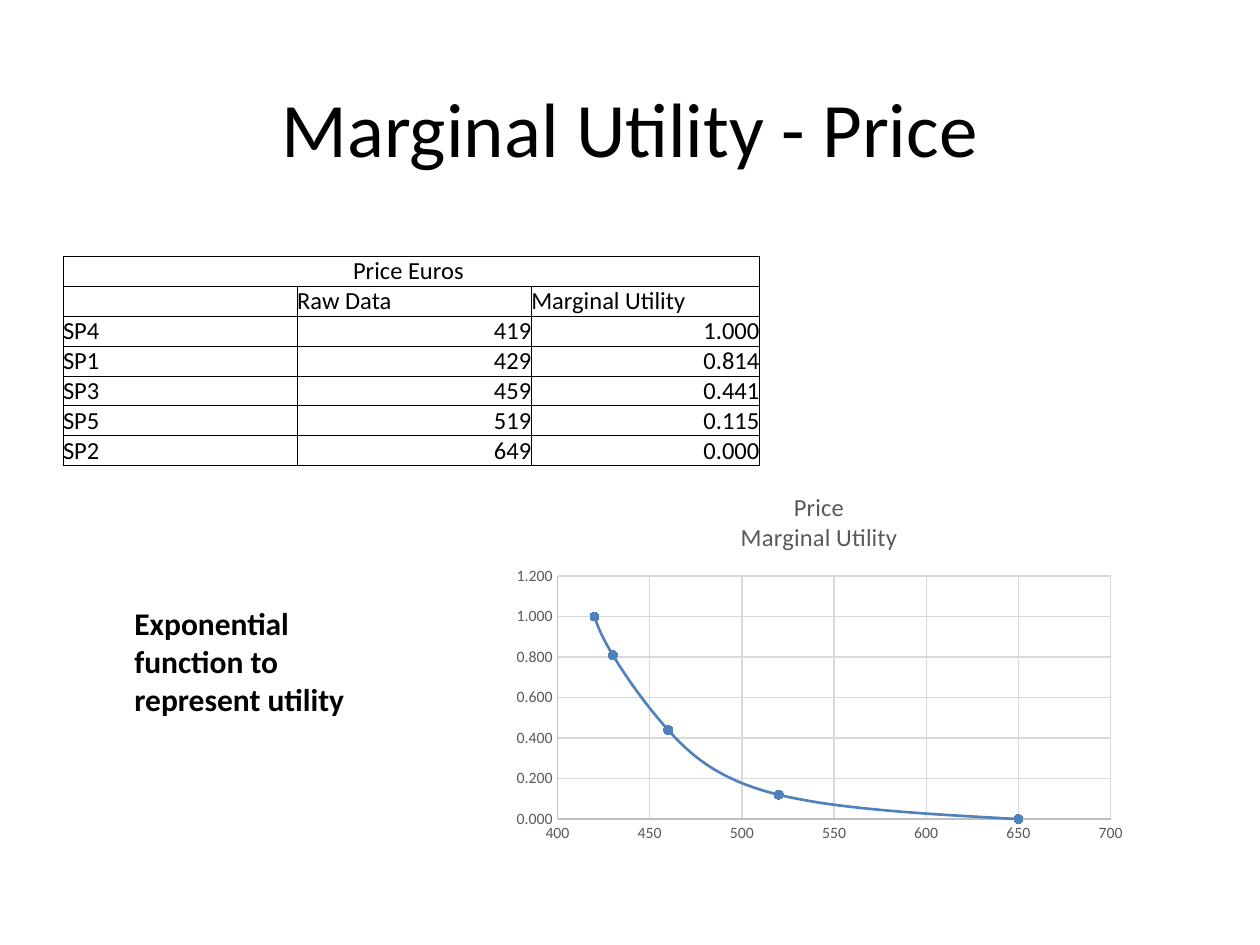
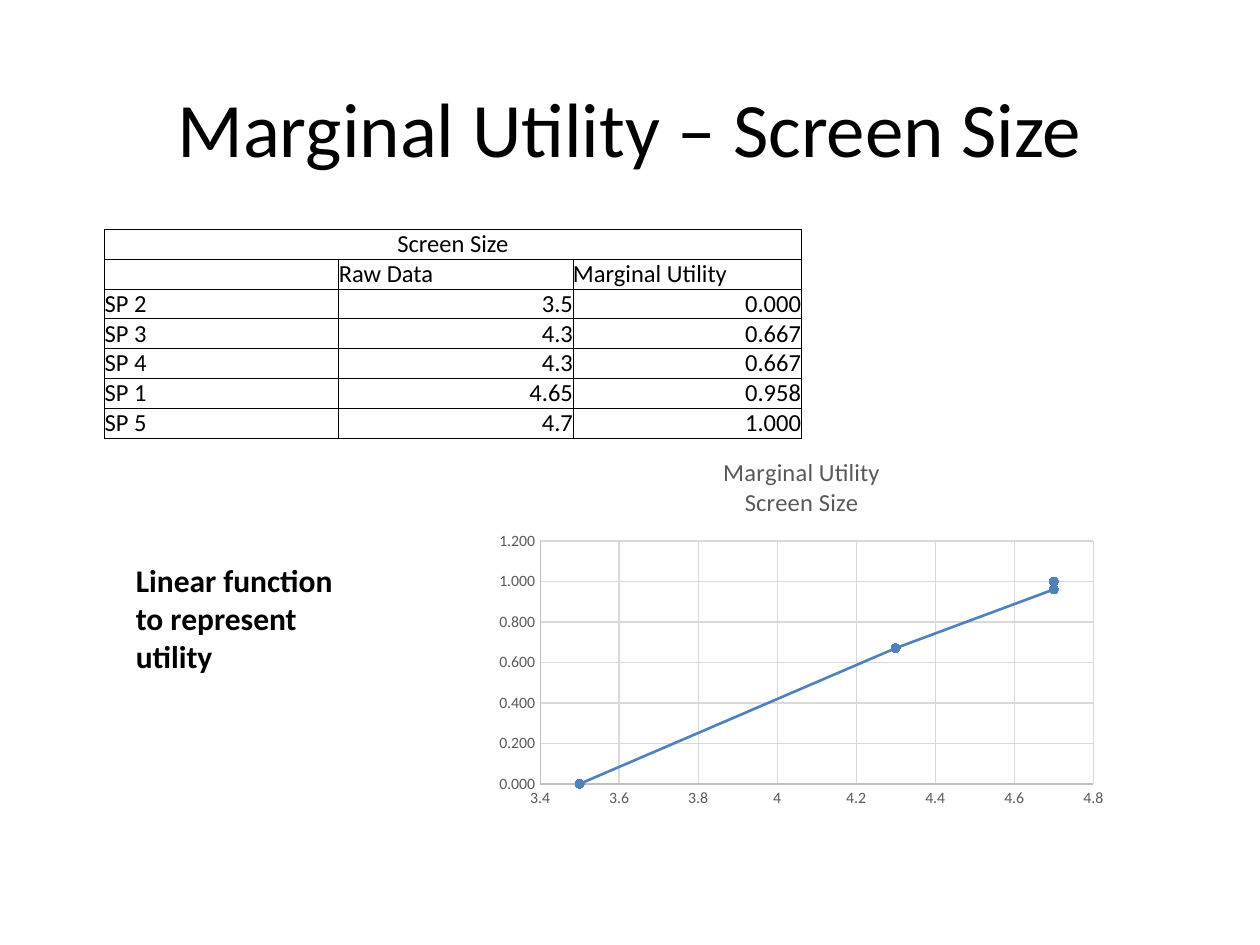
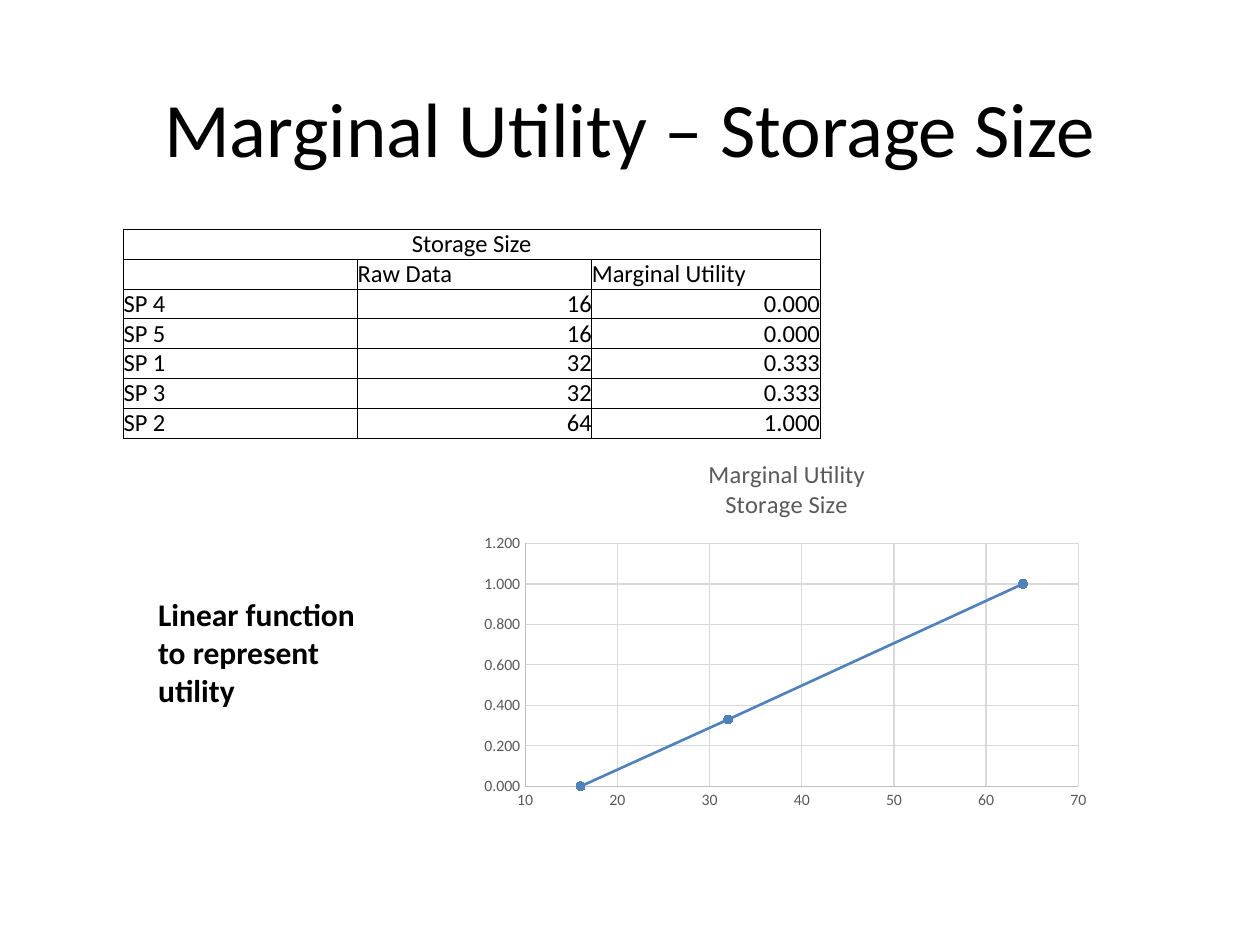
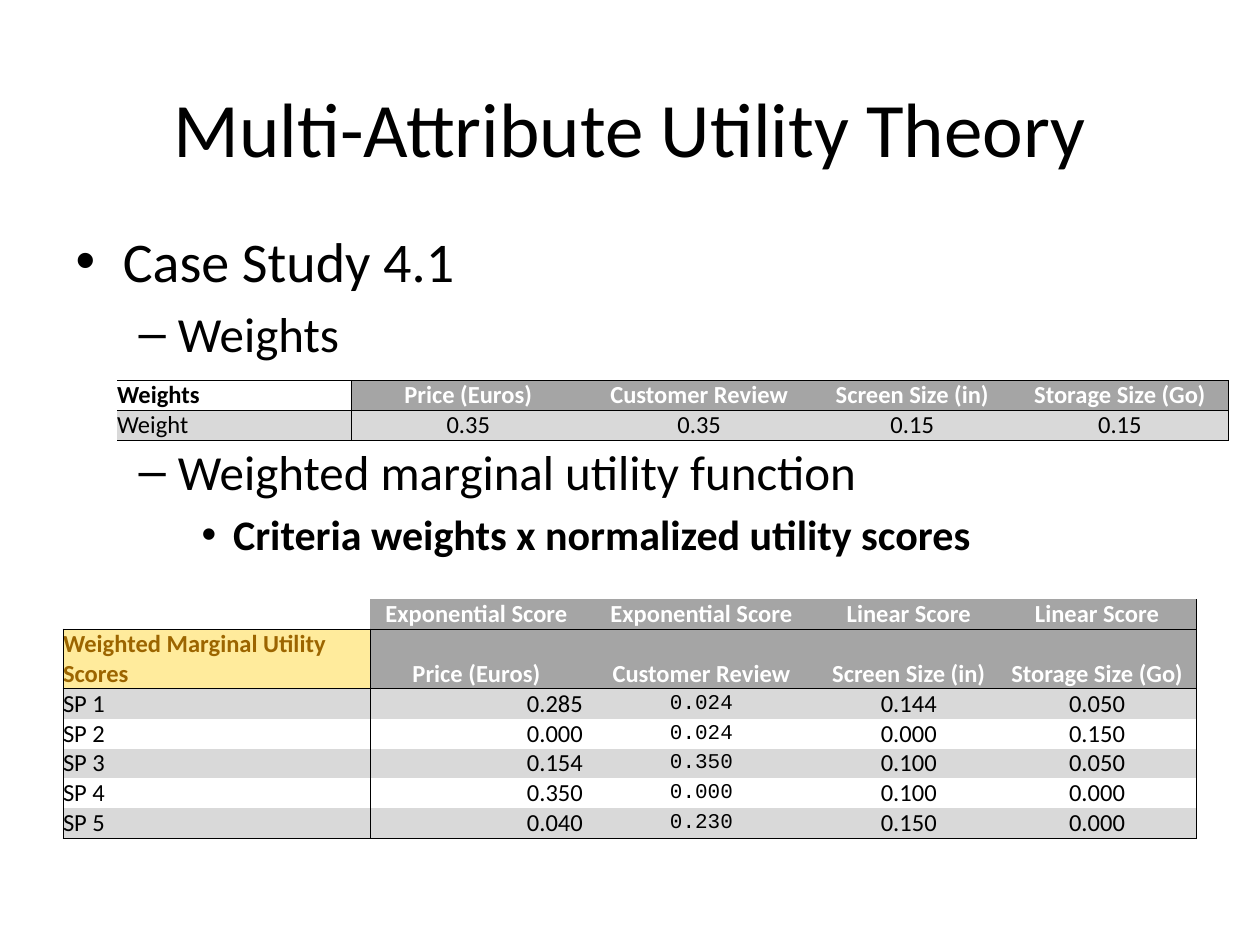
from lxml.etree import SubElement
from pptx import Presentation
from pptx.chart.data import XyChartData
from pptx.dml.color import RGBColor
from pptx.enum.chart import XL_CHART_TYPE, XL_MARKER_STYLE, XL_TICK_MARK
from pptx.enum.text import MSO_ANCHOR, MSO_AUTO_SIZE, PP_ALIGN
from pptx.oxml.ns import qn
from pptx.util import Cm, Pt

COLORS = {
    "text": "000000", "white": "FFFFFF", "header": "A5A5A5", "band": "D9D9D9",
    "highlight": "FFEB9C", "highlight_text": "9C6500", "series": "4F81BD",
    "chart_text": "595959", "axis": "BFBFBF", "grid": "D9D9D9",
}
FONT, MONO = "Calibri", "Courier New"
NO_STYLE = "{2D5ABB26-0587-4C30-8999-92F81FD0307C}"
ROW_HEIGHT = 0.59
PLOT_AREA = {"x": 0.085, "y": 0.275, "w": 0.878, "h": 0.643}
TITLE_ONLY, TITLE_AND_BODY = 5, 1
LEFT, CENTER, RIGHT = PP_ALIGN.LEFT, PP_ALIGN.CENTER, PP_ALIGN.RIGHT


def rgb(name):
    return RGBColor.from_string(COLORS[name])


def two_digits(text):
    return float(f"{float(text):.2g}")


class Deck:
    def __init__(self):
        self.prs = Presentation()
        self.prs.slide_width, self.prs.slide_height = Cm(25.4), Cm(19.05)
        self.slide = None

    def style(self, font, size, color="text", bold=False, name=FONT):
        font.name, font.size, font.bold = name, Pt(size), bold
        font.color.rgb = rgb(color)

    def line(self, line, color, width=0.75):
        line.color.rgb = rgb(color)
        line.width = Pt(width)

    def place(self, shape, left, top, width, height):
        shape.left, shape.top = Cm(left), Cm(top)
        shape.width, shape.height = Cm(width), Cm(height)

    def add_slide(self, heading, layout=TITLE_ONLY):
        self.slide = self.prs.slides.add_slide(self.prs.slide_layouts[layout])
        title = self.slide.shapes.title
        self.place(title, 1.27, 0.97, 22.86, 3.18)
        frame = title.text_frame
        frame.text = heading
        frame.vertical_anchor = MSO_ANCHOR.MIDDLE
        frame.auto_size = MSO_AUTO_SIZE.NONE
        frame.paragraphs[0].alignment = CENTER
        self.style(frame.paragraphs[0].runs[0].font, 44)

    def bullets(self, items):
        """Fill the body with (level, size, bold, space before, text) items."""
        body = self.slide.placeholders[1]
        self.place(body, 1.27, 4.44, 22.86, 12.57)
        frame = body.text_frame
        frame.text = "\n".join(item[-1] for item in items)
        frame.auto_size = MSO_AUTO_SIZE.NONE
        for paragraph, (level, size, bold, gap, _) in zip(frame.paragraphs, items):
            paragraph.level = level
            if gap:
                paragraph.space_before = Pt(gap)
            self.style(paragraph.runs[0].font, size, bold=bold)

    def note(self, left, top, text):
        box = self.slide.shapes.add_textbox(Cm(left), Cm(top), Cm(5.16), Cm(2.57))
        frame = box.text_frame
        frame.word_wrap = True
        frame.text = text
        self.style(frame.paragraphs[0].runs[0].font, 18, bold=True)

    def cell(self, cell, text, align=LEFT, edges="LRTB", fill=None, size=14,
             anchor=MSO_ANCHOR.BOTTOM, **look):
        cell.margin_left = cell.margin_right = cell.margin_top = cell.margin_bottom = 0
        cell.vertical_anchor = anchor
        cell.text = text
        paragraph = cell.text_frame.paragraphs[0]
        paragraph.alignment = align
        for run in paragraph.runs:
            self.style(run.font, size, **look)
        if not text:
            SubElement(paragraph._p, qn("a:endParaRPr"), sz=str(size * 100))
        # Borders come before the fill in the cell properties
        properties = cell._tc.get_or_add_tcPr()
        for side in "LRTB":
            border = SubElement(properties, qn("a:ln" + side), w=str(Pt(0.5)))
            if side in edges:
                solid = SubElement(border, qn("a:solidFill"))
                SubElement(solid, qn("a:srgbClr"), val=COLORS["text"])
            else:
                SubElement(border, qn("a:noFill"))
        if fill:
            cell.fill.solid()
            cell.fill.fore_color.rgb = rgb(fill)
        else:
            cell.fill.background()

    def table(self, left, top, widths, rows, look):
        """Add a table; look(row, column) gives the format of each cell."""
        frame = self.slide.shapes.add_table(
            len(rows), len(widths), Cm(left), Cm(top),
            Cm(sum(widths)), Cm(ROW_HEIGHT * len(rows)))
        table = frame.table
        table.first_row = table.horz_banding = False
        table._tbl.tblPr.find(qn("a:tableStyleId")).text = NO_STYLE
        for column, width in zip(table.columns, widths):
            column.width = Cm(width)
        for r, texts in enumerate(rows):
            table.rows[r].height = Cm(ROW_HEIGHT)
            for c, text in enumerate(texts):
                self.cell(table.cell(r, c), text, **look(r, c))
        return table

    def axis(self, axis, scale, number_format):
        axis.minimum_scale, axis.maximum_scale, axis.major_unit = scale
        axis.major_tick_mark = axis.minor_tick_mark = XL_TICK_MARK.NONE
        axis.has_major_gridlines = True
        self.line(axis.major_gridlines.format.line, "grid")
        self.line(axis.format.line, "axis")
        axis.tick_labels.number_format = number_format
        axis.tick_labels.number_format_is_linked = False
        self.style(axis.tick_labels.font, 9, "chart_text")

    def scatter(self, left, top, heading, points, x_scale, smooth):
        data = XyChartData()
        utility = data.add_series("Series 1")
        for x, y in points:
            utility.add_data_point(x, y)
        kind = XL_CHART_TYPE.XY_SCATTER_SMOOTH if smooth else XL_CHART_TYPE.XY_SCATTER_LINES
        chart = self.slide.shapes.add_chart(
            kind, Cm(left), Cm(top), Cm(12.7), Cm(7.62), data).chart
        chart.has_legend = False
        self.style(chart.font, 10)
        chart.has_title = True
        title = chart.chart_title.text_frame
        title.text = heading
        for paragraph in title.paragraphs:
            self.style(paragraph.runs[0].font, 14, "chart_text")
        self.axis(chart.category_axis, x_scale, "General")
        self.axis(chart.value_axis, (0, 1.2, 0.2), "0.000")

        # Curve and markers; scatter series have no public smooth property
        plot = chart.plots[0]
        plot.vary_by_categories = False
        curve = plot.series[0]
        curve._element.find(qn("c:smooth")).set("val", str(int(smooth)))
        self.line(curve.format.line, "series", 1.5)
        curve.marker.style, curve.marker.size = XL_MARKER_STYLE.CIRCLE, 5
        curve.marker.format.fill.solid()
        curve.marker.format.fill.fore_color.rgb = rgb("series")
        self.line(curve.marker.format.line, "series")

        # Fixed inner plot area below the two-line title
        area = chart._chartSpace.chart.plotArea
        for old in area.findall(qn("c:layout")):
            area.remove(old)
        layout = SubElement(area, qn("c:layout"))
        area.insert(0, layout)
        manual = SubElement(layout, qn("c:manualLayout"))
        SubElement(manual, qn("c:layoutTarget"), val="inner")
        for side in "xy":
            SubElement(manual, qn(f"c:{side}Mode"), val="edge")
        for key, share in PLOT_AREA.items():
            SubElement(manual, qn("c:" + key), val=str(share))


def utility_look(row, column):
    if row == 0:
        return {"align": CENTER}
    return {"align": RIGHT if row > 1 and column else LEFT}


def weights_look(row, column):
    edges = "TB" + {0: "R", 1: "L", 4: "R"}.get(column, "")
    look = {"align": CENTER if column else LEFT, "edges": edges}
    if row:
        look["fill"] = "band"
    else:
        look["bold"] = True
        if column:
            look.update(fill="header", color="white")
    return look


def scores_look(row, column):
    edges = {0: "LR" if row else "", 1: "L" if row else "", 4: "R"}.get(column, "")
    edges += {0: "B", 1: "TB", 2: "T", 6: "B"}.get(row, "")
    look = {"align": CENTER if column else LEFT, "edges": edges}
    if row < 2:
        look["bold"] = True
        if column:
            look.update(fill="header", color="white")
        elif row:
            look.update(fill="highlight", color="highlight_text")
        return look
    if row % 2 == 0:
        look["fill"] = "band"
    if column == 1:
        look["align"] = RIGHT
    elif column == 2:
        look.update(size=12, name=MONO, anchor=MSO_ANCHOR.MIDDLE)
    return look


# One entry per attribute; places are (left, top) in centimetres
ATTRIBUTES = [
    {"title": "Marginal Utility - Price", "caption": "Price Euros ",
     "rows": [("SP4", "419", "1.000"), ("SP1", "429", "0.814"), ("SP3", "459", "0.441"),
              ("SP5", "519", "0.115"), ("SP2", "649", "0.000")],
     "chart_title": "Price\nMarginal Utility", "scale": (400, 700, 50),
     "function": "Exponential",
     "table_at": (1.27, 5.17), "chart_at": (10.16, 9.52), "note_at": (2.46, 12.05)},
    {"title": "Marginal Utility – Screen Size", "caption": "Screen Size",
     "rows": [("SP 2", "3.5", "0.000"), ("SP 3", "4.3", "0.667"), ("SP 4", "4.3", "0.667"),
              ("SP 1", "4.65", "0.958"), ("SP 5", "4.7", "1.000")],
     "chart_title": "Marginal Utility\nScreen Size", "scale": (3.4, 4.8, 0.2),
     "function": "Linear",
     "table_at": (2.11, 4.62), "chart_at": (9.81, 8.81), "note_at": (2.49, 11.19)},
    {"title": "Marginal Utility – Storage Size", "caption": "Storage Size",
     "rows": [("SP 4", "16", "0.000"), ("SP 5", "16", "0.000"), ("SP 1", "32", "0.333"),
              ("SP 3", "32", "0.333"), ("SP 2", "64", "1.000")],
     "chart_title": "Marginal Utility\nStorage Size", "scale": (10, 70, 10),
     "function": "Linear",
     "table_at": (2.49, 4.62), "chart_at": (9.51, 8.86), "note_at": (2.94, 11.88)},
]
CRITERIA = ("Price (Euros)", "Customer Review", "Screen Size (in)", "Storage Size (Go)")
WEIGHTS = [("Weights", *CRITERIA), ("Weight", "0.35", "0.35", "0.15", "0.15")]
SCORES = [
    ("", "Exponential Score", "Exponential Score", "Linear Score", "Linear Score"),
    ("Weighted Marginal Utility Scores", *CRITERIA),
    ("SP 1", "0.285", "0.024", "0.144", "0.050"),
    ("SP 2", "0.000", "0.024", "0.000", "0.150"),
    ("SP 3", "0.154", "0.350", "0.100", "0.050"),
    ("SP 4", "0.350", "0.000", "0.100", "0.000"),
    ("SP 5", "0.040", "0.230", "0.150", "0.000"),
]


def main():
    deck = Deck()

    # Marginal utility slides
    for item in ATTRIBUTES:
        deck.add_slide(item["title"])
        rows = [(item["caption"], "", ""), ("", "Raw Data", "Marginal Utility"), *item["rows"]]
        table = deck.table(*item["table_at"], (4.72, 4.72, 4.6), rows, utility_look)
        table.cell(0, 0).merge(table.cell(0, 2))
        points = [(two_digits(raw), two_digits(utility)) for _, raw, utility in item["rows"]]
        deck.scatter(*item["chart_at"], item["chart_title"], points, item["scale"],
                     smooth=item["function"] == "Exponential")
        deck.note(*item["note_at"], f"{item['function']} function to represent utility")

    # Weights and weighted scores
    deck.add_slide("Multi-Attribute Utility Theory", TITLE_AND_BODY)
    deck.bullets([
        (0, 32, False, None, "Case Study 4.1"),
        (1, 28, False, None, "Weights"),
        (1, 28, False, 45, "Weighted marginal utility function"),
        (2, 24, True, None, "Criteria weights x normalized utility scores"),
    ])
    deck.table(2.36, 7.67, (4.72, 4.72, 4.59, 4.0, 4.37), WEIGHTS, weights_look)
    deck.table(1.27, 12.08, (6.19, 4.29, 4.78, 3.58, 4.01), SCORES, scores_look)

    deck.prs.save("out.pptx")


if __name__ == "__main__":
    main()
